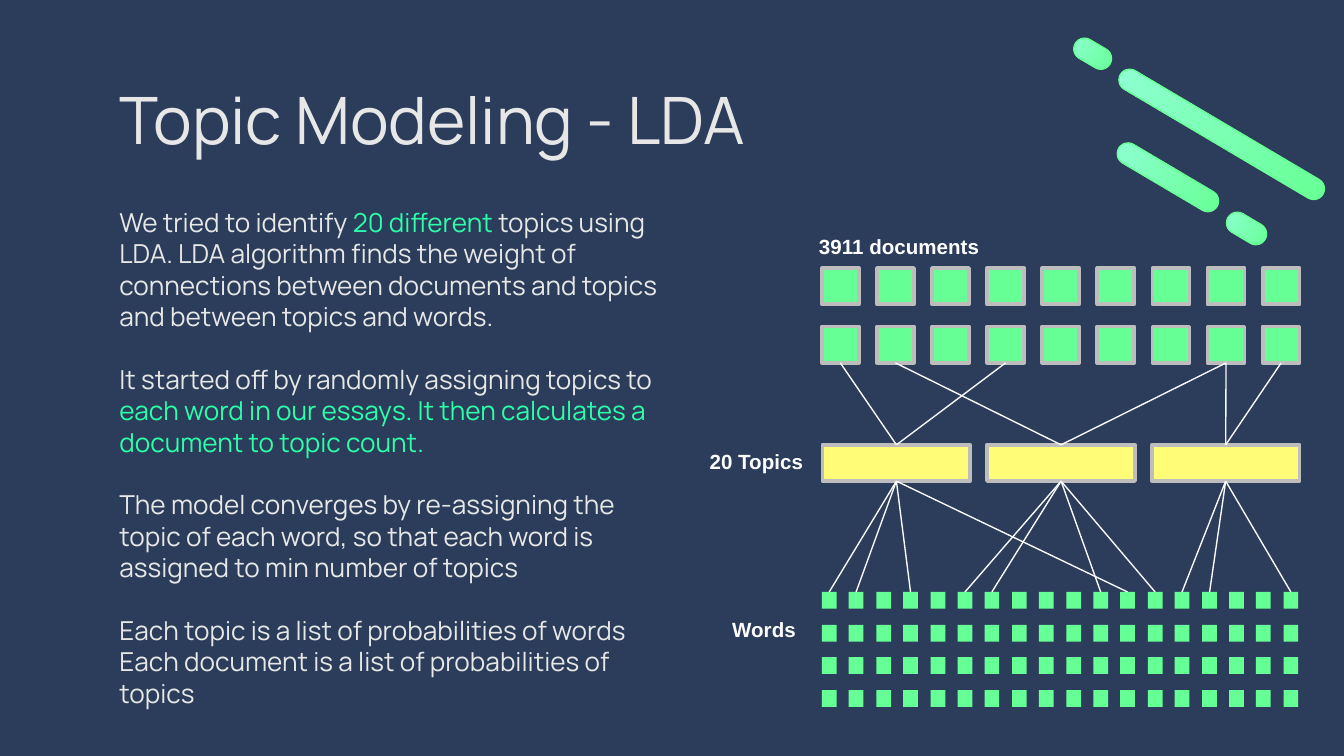
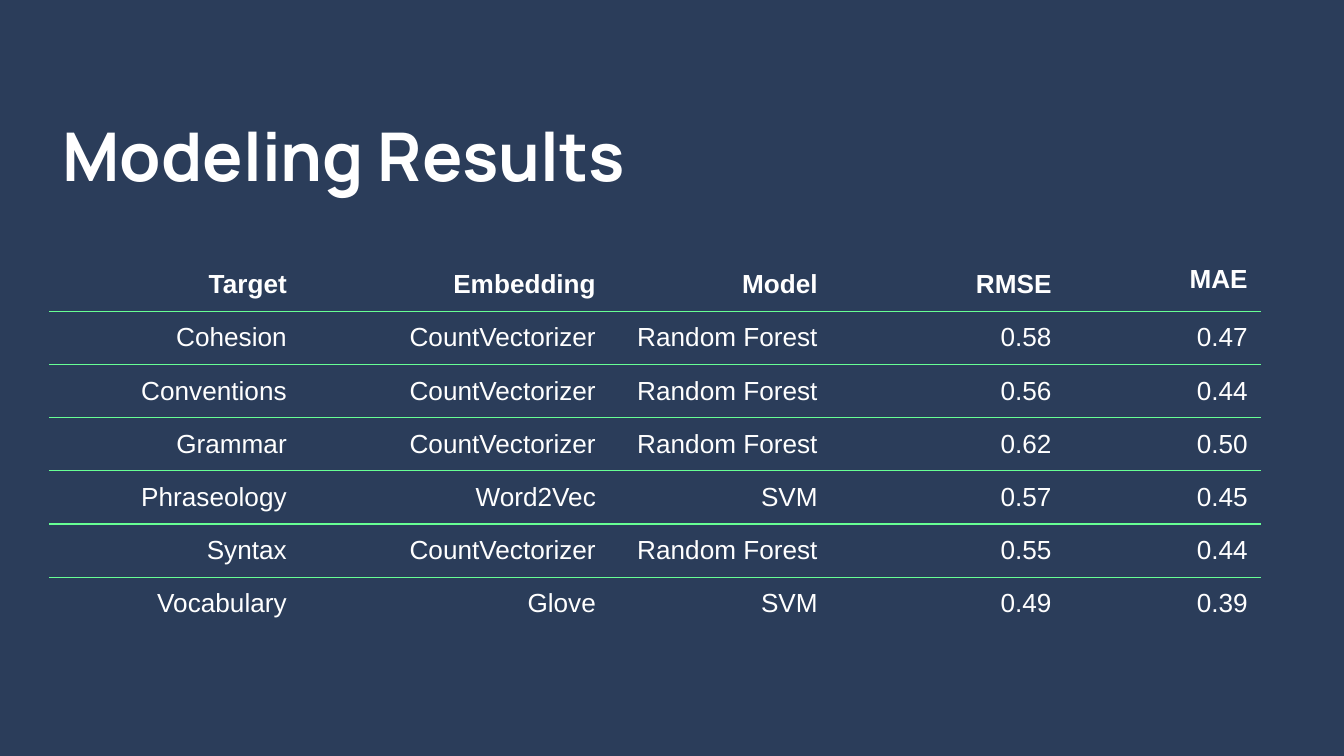
from lxml.etree import SubElement
from pptx import Presentation
from pptx.dml.color import RGBColor
from pptx.enum.shapes import MSO_CONNECTOR, MSO_SHAPE
from pptx.enum.text import MSO_ANCHOR as ANCHOR, MSO_AUTO_SIZE, PP_ALIGN as ALIGN
from pptx.oxml.ns import qn
from pptx.util import Pt

PX = 4572
NAVY = RGBColor(0x2B, 0x3D, 0x5A)
WHITE = RGBColor(0xFF, 0xFF, 0xFF)
LIGHT = RGBColor(0xE7, 0xE7, 0xE7)
LINK = RGBColor(0xF9, 0xF9, 0xF9)
SILVER = RGBColor(0xBD, 0xBD, 0xBD)
MINT = RGBColor(0x2B, 0xFF, 0xAA)
AQUA = RGBColor(0x8E, 0xFF, 0xD2)
GREEN = RGBColor(0x67, 0xFF, 0x94)
BLOCK_GREEN = RGBColor(0x66, 0xFF, 0x95)
YELLOW = RGBColor(0xFF, 0xFD, 0x78)
DISPLAY, PLAIN = "Manrope", "Arial"


def write(paragraph, text, size=14, font=DISPLAY, color=LIGHT, bold=False, align=ALIGN.LEFT):
    paragraph.alignment = align
    run = paragraph.add_run()
    run.text = text
    run.font.size = Pt(size)
    run.font.name = font
    run.font.bold = bold
    run.font.color.rgb = color


def add_block(slide, left, top, width, height, color, outline=None):
    block = slide.shapes.add_shape(MSO_SHAPE.RECTANGLE, left * PX, top * PX, width * PX, height * PX)
    block.shadow.inherit = False
    block.fill.solid()
    block.fill.fore_color.rgb = color
    if outline:
        block.line.color.rgb = outline
        block.line.width = Pt(2)
    else:
        block.line.fill.background()
    return block


presentation = Presentation()
presentation.slide_width = 2000 * PX
presentation.slide_height = 1125 * PX
background = presentation.slide_master.background.fill
background.solid()
background.fore_color.rgb = NAVY

titles = [
    ("Topic Modeling - LDA", 158, 98, 35, LIGHT, False),
    ("Modeling Results", 73, 150, 36, WHITE, True),
]
for text, left, top, size, color, bold in titles:
    slide = presentation.slides.add_slide(presentation.slide_layouts[5])
    title = slide.shapes.title
    title.left, title.top, title.width, title.height = left * PX, top * PX, 1686 * PX, 126 * PX
    frame = title.text_frame
    frame.auto_size = MSO_AUTO_SIZE.NONE
    frame.vertical_anchor = ANCHOR.TOP
    frame.margin_left = frame.margin_top = frame.margin_right = frame.margin_bottom = 20 * PX
    write(frame.paragraphs[0], text, size=size, color=color, bold=bold)
lda_slide, results_slide = presentation.slides

for left, top, width in [(1643, 184, 350), (1823, 324, 64), (1653, 248, 170), (1596, 64, 60)]:
    bar = lda_slide.shapes.add_shape(MSO_SHAPE.ROUNDED_RECTANGLE, left * PX, top * PX, width * PX, 32 * PX)
    bar.adjustments[0] = 0.5
    bar.rotation = 30.6
    bar.shadow.inherit = False
    bar.fill.gradient()
    bar.fill.gradient_angle = 180
    for stop, color in zip(bar.fill.gradient_stops, (GREEN, AQUA)):
        stop.color.rgb = color
    bar.line.color.rgb = GREEN
    bar.line.width = Pt(0.75)

body = [
    (0, [("We tried to identify ", LIGHT), ("20 different ", MINT),
         ("topics using LDA. LDA algorithm finds the weight of connections between "
          "documents and topics and between topics and words.", LIGHT)]),
    (16.8, [("It started off by randomly assigning topics to ", LIGHT),
            ("each word in our essays. It then calculates a document to topic count.", MINT)]),
    (16.8, [("The model converges by re-assigning the topic of each word, so that each "
             "word is assigned to min number of topics", LIGHT)]),
    (16.8, [("Each topic is a list of probabilities of words", LIGHT)]),
    (0, [("Each document is a list of probabilities of topics", LIGHT)]),
]
frame = lda_slide.shapes.add_textbox(158 * PX, 287 * PX, 848 * PX, 798 * PX).text_frame
frame.word_wrap = True
frame.margin_left = frame.margin_top = frame.margin_right = frame.margin_bottom = 20 * PX
for index, (gap, pieces) in enumerate(body):
    paragraph = frame.add_paragraph() if index else frame.paragraphs[0]
    if gap:
        paragraph.space_before = Pt(gap)
    for text, color in pieces:
        write(paragraph, text, color=color)

labels = [
    ("3911 documents", 1199, 338, 282, 58, ALIGN.LEFT, ANCHOR.TOP),
    ("20 Topics", 1029, 658, 186, 58, ALIGN.RIGHT, ANCHOR.TOP),
    ("Words", 1068, 870, 136, 94, ALIGN.RIGHT, ANCHOR.BOTTOM),
]
for text, left, top, width, height, align, anchor in labels:
    frame = lda_slide.shapes.add_textbox(left * PX, top * PX, width * PX, height * PX).text_frame
    frame.word_wrap = False
    frame.vertical_anchor = anchor
    write(frame.paragraphs[0], text, size=11, font=PLAIN, color=WHITE, bold=True, align=align)

documents = [add_block(lda_slide, 1223 + 82 * column, top, 55, 54, BLOCK_GREEN, SILVER)
             for top in (399, 486) for column in range(9)]
topics = [add_block(lda_slide, left, 662, 220, 54, YELLOW, SILVER) for left in (1224, 1469, 1714)]
words = [add_block(lda_slide, round(1223 + 40.4 * column), round(881 + row * 146 / 3), 22, 25, BLOCK_GREEN)
         for row in range(4) for column in range(18)]

lower_documents = documents[9:]
topic_links = [
    ((0, 3), (0, 1, 3, 11)),
    ((1, 7), (6, 5, 10, 12)),
    ((8, 7), (17, 14, 13)),
]
pairs = []
for topic, (document_indexes, word_indexes) in zip(topics, topic_links):
    pairs += [(lower_documents[index], topic) for index in document_indexes]
    pairs += [(topic, words[index]) for index in word_indexes]
for upper, lower in pairs:
    link = lda_slide.shapes.add_connector(MSO_CONNECTOR.STRAIGHT, 0, 0, 0, 0)
    link.begin_connect(upper, 2)
    link.end_connect(lower, 0)
    link.line.color.rgb = LINK
    link.line.width = Pt(0.75)
    SubElement(link._element.spPr, qn("a:effectLst"))

results = [
    ("", "Target", "Embedding", "Model", "RMSE", "MAE"),
    ("", "Cohesion", "CountVectorizer", "Random Forest", "0.58", "0.47"),
    ("", "Conventions", "CountVectorizer", "Random Forest", "0.56", "0.44"),
    ("", "Grammar", "CountVectorizer", "Random Forest", "0.62", "0.50"),
    ("", "Phraseology", "Word2Vec", "SVM", "0.57", "0.45"),
    ("", "Syntax", "CountVectorizer", "Random Forest", "0.55", "0.44"),
    ("", "Vocabulary", "Glove", "SVM", "0.49", "0.39"),
]
table = results_slide.shapes.add_table(len(results), 6, 73 * PX, 384 * PX, 1802 * PX, 554 * PX).table
table.first_row = table.horz_banding = False
for column, width in zip(table.columns, (46, 326, 460, 330, 348, 292)):
    column.width = width * PX
last_row = len(results) - 1
for row, values in enumerate(results):
    for column, text in enumerate(values):
        cell = table.cell(row, column)
        cell.vertical_anchor = ANCHOR.TOP if text == "MAE" else ANCHOR.MIDDLE
        if text:
            write(cell.text_frame.paragraphs[0], text, font=PLAIN, color=WHITE,
                  bold=row == 0, align=ALIGN.RIGHT)
        else:
            cell.margin_top = cell.margin_bottom = 0
        properties = cell._tc.get_or_add_tcPr()
        borders = [("a:lnL", False), ("a:lnR", False), ("a:lnT", row > 0), ("a:lnB", row < last_row)]
        for side, visible in borders:
            border = SubElement(properties, qn(side), w=str(Pt(0.75)))
            if visible:
                border_fill = SubElement(border, qn("a:solidFill"))
                SubElement(border_fill, qn("a:srgbClr"), val=str(GREEN))
            else:
                SubElement(border, qn("a:noFill"))
        cell.fill.background()

presentation.save("out.pptx")
